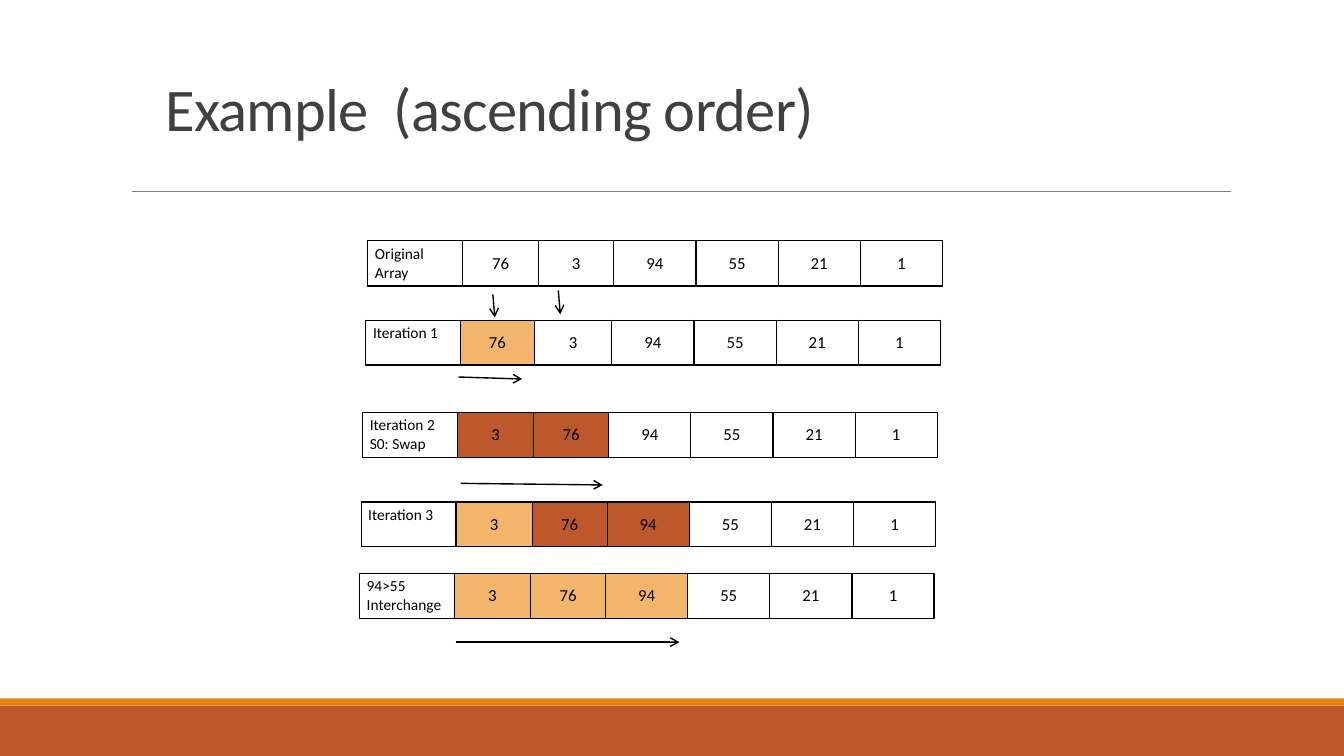
"""Build a slide that traces a bubble sort in ascending order."""
from dataclasses import dataclass
from typing import Any

from lxml.etree import SubElement
from pptx import Presentation
from pptx.dml.color import RGBColor
from pptx.enum.shapes import MSO_CONNECTOR, MSO_SHAPE
from pptx.enum.text import MSO_ANCHOR, MSO_AUTO_SIZE, PP_ALIGN
from pptx.oxml.ns import qn
from pptx.slide import Slide
from pptx.table import _Cell
from pptx.text.text import Font
from pptx.util import Cm, Pt

BLACK = RGBColor(0x00, 0x00, 0x00)
WHITE = RGBColor(0xFF, 0xFF, 0xFF)
GRAY = RGBColor(0x80, 0x80, 0x80)
CHARCOAL = RGBColor(0x40, 0x40, 0x40)
RUST = RGBColor(0xBD, 0x58, 0x2C)
ORANGE = RGBColor(0xE4, 0x83, 0x12)
APRICOT = RGBColor(0xF3, 0xB5, 0x6C)

SLIDE_WIDTH, SLIDE_HEIGHT = 33.87, 19.05
LABEL_WIDTH, PAIR_WIDTH, VALUE_WIDTH, ROW_HEIGHT = 2.39, 3.81, 2.07, 1.13
CELL_MARGINS = {
    "margin_left": Cm(0.18), "margin_right": Cm(0.18),
    "margin_top": Cm(0.09), "margin_bottom": Cm(0.09),
}


@dataclass(frozen=True)
class Band:
    top: float
    height: float
    color: RGBColor


@dataclass(frozen=True)
class Step:
    label: str
    left: float
    top: float
    first_width: float
    values: tuple[int, ...]
    fills: tuple[RGBColor, ...] = ()


@dataclass(frozen=True)
class Stroke:
    start: tuple[float, float]
    end: tuple[float, float]
    color: RGBColor = BLACK
    weight: float = 1
    arrow: bool = True


UNSORTED = (76, 3, 94, 55, 21, 1)
SWAPPED = (3, 76, 94, 55, 21, 1)

BANDS = (Band(17.78, 1.27, RUST), Band(17.6, 0.18, ORANGE))
STEPS = (
    Step("Original Array", 9.27, 6.07, 1.91, UNSORTED),
    Step("Iteration 1", 9.22, 8.07, 1.85, UNSORTED, (APRICOT,)),
    Step("Iteration 2\nS0: Swap", 9.14, 10.39, 1.92, SWAPPED, (RUST, RUST)),
    Step("Iteration 3", 9.1, 12.65, 1.92, SWAPPED, (APRICOT, RUST, RUST)),
    Step("94>55 Interchange", 9.06, 14.45, 1.92, SWAPPED, (APRICOT,) * 3),
)
STROKES = (
    Stroke((3.33, 4.83), (31.01, 4.83), GRAY, 0.5, arrow=False),
    Stroke((11.55, 9.5), (13.16, 9.55)),
    Stroke((11.61, 12.18), (15.19, 12.22)),
    Stroke((11.48, 16.18), (17.12, 16.18)),
    Stroke((12.42, 7.42), (12.47, 8.0)),
    Stroke((14.07, 7.32), (14.12, 7.92)),
)


def apply_format(target: Any, values: dict[str, Any]) -> None:
    """Set every named attribute on the target."""
    for name, value in values.items():
        setattr(target, name, value)


def style_font(font: Font, size: float, color: RGBColor) -> None:
    """Give a font its face, size and colour."""
    apply_format(font, {"name": "Calibri", "size": Pt(size), "bold": False})
    font.color.rgb = color


def add_title(slide: Slide) -> None:
    """Fill and place the title placeholder."""
    title = slide.shapes.title
    apply_format(title, {"left": Cm(3.91), "top": Cm(1.35),
                         "width": Cm(17.15), "height": Cm(2.39)})
    apply_format(title.text_frame, {
        "text": "Example  (ascending order)", "word_wrap": True,
        "auto_size": MSO_AUTO_SIZE.NONE, "vertical_anchor": MSO_ANCHOR.BOTTOM})
    heading = title.text_frame.paragraphs[0]
    apply_format(heading, {"alignment": PP_ALIGN.LEFT, "line_spacing": 0.85})
    style_font(heading.runs[0].font, 43.2, CHARCOAL)
    heading.runs[0]._r.get_or_add_rPr().set("spc", "-50")


def add_band(slide: Slide, band: Band) -> None:
    """Draw one full-width band of the footer."""
    strip = slide.shapes.add_shape(MSO_SHAPE.RECTANGLE, 0, Cm(band.top),
                                   Cm(SLIDE_WIDTH), Cm(band.height))
    strip.shadow.inherit = False
    strip.fill.solid()
    strip.fill.fore_color.rgb = band.color
    strip.line.fill.background()


def add_borders(cell: _Cell) -> None:
    """Outline a cell in black on all four sides."""
    properties = cell._tc.get_or_add_tcPr()
    for side in ("lnL", "lnR", "lnT", "lnB"):
        border = SubElement(properties, qn(f"a:{side}"), w=str(Pt(1)))
        paint = SubElement(border, qn("a:solidFill"))
        SubElement(paint, qn("a:srgbClr"), val=str(BLACK))


def fill_cell(cell: _Cell, text: str, fill: RGBColor, is_label: bool) -> None:
    """Write and format one cell of a step."""
    add_borders(cell)
    cell.fill.solid()
    cell.fill.fore_color.rgb = fill
    anchor = MSO_ANCHOR.TOP if is_label else MSO_ANCHOR.MIDDLE
    apply_format(cell, {"text": text, "vertical_anchor": anchor, **CELL_MARGINS})
    for paragraph in cell.text_frame.paragraphs:
        paragraph.alignment = PP_ALIGN.LEFT if is_label else PP_ALIGN.CENTER
        style_font(paragraph.runs[0].font, 11 if is_label else 12, BLACK)


def add_step(slide: Slide, step: Step) -> None:
    """Draw the array at one step as a single-row table."""
    widths = [LABEL_WIDTH, step.first_width, PAIR_WIDTH - step.first_width]
    widths += [VALUE_WIDTH] * (len(step.values) - 2)
    array = slide.shapes.add_table(
        1, len(widths), Cm(step.left), Cm(step.top),
        Cm(sum(widths)), Cm(ROW_HEIGHT)).table
    apply_format(array, {"first_row": False, "horz_banding": False})
    for column, width in zip(array.columns, widths):
        column.width = Cm(width)
    fills = (WHITE, *step.fills) + (WHITE,) * (len(step.values) - len(step.fills))
    texts = (step.label, *map(str, step.values))
    for index, (text, fill) in enumerate(zip(texts, fills)):
        fill_cell(array.cell(0, index), text, fill, is_label=index == 0)


def add_stroke(slide: Slide, stroke: Stroke) -> None:
    """Draw a straight line, with an arrowhead at its end if asked."""
    connector = slide.shapes.add_connector(
        MSO_CONNECTOR.STRAIGHT, *map(Cm, stroke.start + stroke.end))
    connector.line.color.rgb = stroke.color
    connector.line.width = Pt(stroke.weight)
    properties = connector.element.spPr
    if stroke.arrow:
        SubElement(properties.find(qn("a:ln")), qn("a:tailEnd"), type="arrow")
    SubElement(properties, qn("a:effectLst"))


def main() -> None:
    """Assemble the slide and save it."""
    deck = Presentation()
    apply_format(deck, {"slide_width": Cm(SLIDE_WIDTH),
                        "slide_height": Cm(SLIDE_HEIGHT)})
    slide = deck.slides.add_slide(deck.slide_layouts.get_by_name("Title Only"))
    add_title(slide)
    for band in BANDS:
        add_band(slide, band)
    for step in STEPS:
        add_step(slide, step)
    for stroke in STROKES:
        add_stroke(slide, stroke)
    deck.save("out.pptx")


if __name__ == "__main__":
    main()
